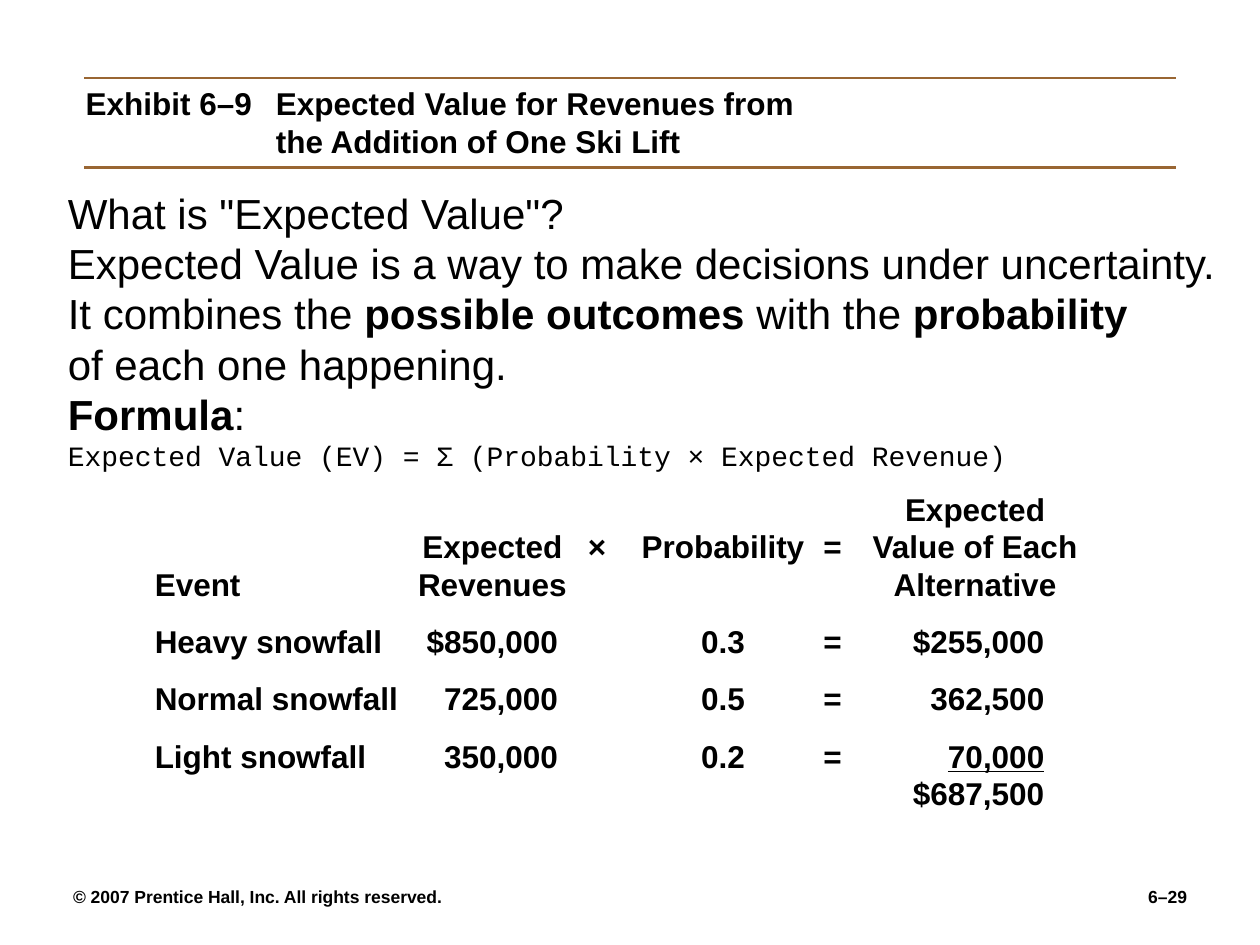
from pptx import Presentation
from pptx.dml.color import RGBColor as Rgb
from pptx.enum.shapes import MSO_CONNECTOR as Conn
from pptx.enum.text import MSO_ANCHOR as Anchor, MSO_AUTO_SIZE as Auto, PP_ALIGN as Align
from pptx.oxml.ns import qn
from pptx.util import Inches as In, Pt
from lxml.etree import SubElement as Sub

INK = {"text": "000000", "rule": "996633"}
LEAD = 1.195  # line pitch as a share of the type size
SANS = {"name": "Arial", "size": Pt(18), "bold": True}
PROSE = {"name": "Arial", "size": Pt(24), "bold": False}
CODE = {"name": "Courier New", "size": Pt(16), "bold": False}
NOTE = {"name": "Arial", "size": Pt(10), "bold": True}

# Tab stops in inches: headings are centred, amounts end on a right edge
HEAD_TABS = [(2.68, "ctr"), (3.51, "ctr"), (4.51, "ctr"), (5.38, "ctr"), (6.51, "ctr")]
ROW_TABS = [(3.2, "r"), (4.51, "ctr"), (5.38, "ctr"), (7.06, "r")]
HEADS = ["\t\t\t\t\tExpected",
         "\tExpected\t×\tProbability\t=\tValue of Each",
         "Event\tRevenues\t\t\t\tAlternative"]
ROWS = [("Heavy snowfall", "$850,000", "0.3", "$255,000"),
        ("Normal snowfall", "725,000", "0.5", "362,500"),
        ("Light snowfall", "350,000", "0.2", "70,000")]
TOTAL = "$687,500"


def put(obj, vals):
    for key, val in vals.items():
        setattr(obj, key, val)


def run(para, text, form, **more):
    part = para.add_run()
    part.text = text
    put(part.font, {**form, **more})
    part.font.color.rgb = Rgb.from_string(INK["text"])


def tabs(para, stops):
    tab_list = Sub(para._p.get_or_add_pPr(), qn("a:tabLst"))
    for pos, kind in stops:
        Sub(tab_list, qn("a:tab"), pos=str(In(pos)), algn=kind)


def space(para, form, before=0):
    put(para, {"line_spacing": Pt(round(form["size"].pt * LEAD, 1)),
               "space_before": Pt(before)})


def frame(slide, box, **vals):
    area = slide.shapes.add_textbox(*map(In, box)).text_frame
    put(area, {"word_wrap": True, **vals})
    return area


def paras(area):
    """Yield the first paragraph, then new ones without end."""
    yield area.paragraphs[0]
    while True:
        yield area.add_paragraph()


def title(slide, box):
    left, top, wide, high = box
    shape = slide.shapes.title
    put(shape, dict(left=In(left - 0.09), top=In(top), width=In(6.1), height=In(high)))
    put(shape.text_frame, {"vertical_anchor": Anchor.TOP, "auto_size": Auto.NONE,
                           "word_wrap": True})
    para = shape.text_frame.paragraphs[0]
    para.alignment = Align.LEFT
    # Hanging indent keeps the second line under the heading text
    props = para._p.get_or_add_pPr()
    props.set("marL", str(In(1.51)))
    props.set("indent", str(-In(1.51)))
    space(para, SANS)
    run(para, "Exhibit 6–9\tExpected Value for Revenues from the Addition of One Ski Lift", SANS)
    # Rules above and below
    for y in (top, top + high):
        rule = slide.shapes.add_connector(Conn.STRAIGHT, In(left), In(y), In(left + wide), In(y))
        rule.line.color.rgb = Rgb.from_string(INK["rule"])
        rule.line.width = Pt(1.5)
        Sub(rule._element.spPr, qn("a:effectLst"))


def prose(slide, box):
    lines = [
        [("What is \"Expected Value\"?", False)],
        [("Expected Value is a way to make decisions under uncertainty.", False)],
        [("It combines the ", False), ("possible outcomes", True),
         (" with the ", False), ("probability", True)],
        [("of each one happening.", False)],
        [("Formula", True), (":", False)],
    ]
    feed = paras(frame(slide, box, word_wrap=False))
    for line, para in zip(lines, feed):
        space(para, PROSE)
        for text, bold in line:
            run(para, text, PROSE, bold=bold)
    run(next(feed), "Expected Value (EV) = Σ (Probability × Expected Revenue)", CODE)


def sums(slide, box):
    feed = paras(frame(slide, box))
    # Column headings
    para = next(feed)
    tabs(para, HEAD_TABS)
    space(para, SANS)
    for num, text in enumerate(HEADS):
        if num:
            para.add_line_break()
        run(para, text, SANS)
    # One line for each event
    for (event, gain, odds, value), para in zip(ROWS, feed):
        tabs(para, ROW_TABS)
        space(para, SANS, 11.2)
        run(para, f"{event}\t{gain}\t{odds}\t=\t", SANS)
        run(para, value, SANS, underline=event == ROWS[-1][0])
    # Total below the last value
    para.add_line_break()
    run(para, "\t\t\t\t" + TOTAL, SANS)


def foot(slide, box):
    left, top, wide, high = box
    half = wide / 2
    for num, (text, side) in enumerate([
            ("© 2007 Prentice Hall, Inc. All rights reserved.", Align.LEFT),
            ("6–29", Align.RIGHT)]):
        area = frame(slide, (left + num * half, top, half, high), margin_left=0,
                     margin_right=0, vertical_anchor=Anchor.BOTTOM)
        area.paragraphs[0].alignment = side
        run(area.paragraphs[0], text, NOTE)


def main():
    deck = Presentation()
    put(deck, {"slide_width": In(10), "slide_height": In(7.5)})
    slide = deck.slides.add_slide(deck.slide_layouts[5])
    title(slide, (0.67, 0.62, 8.66, 0.71))
    prose(slide, (0.44, 1.44, 9.35, 2.35))
    sums(slide, (1.13, 3.84, 7.75, 2.67))
    foot(slide, (0.58, 6.75, 8.84, 0.5))
    deck.save("out.pptx")


if __name__ == "__main__":
    main()
